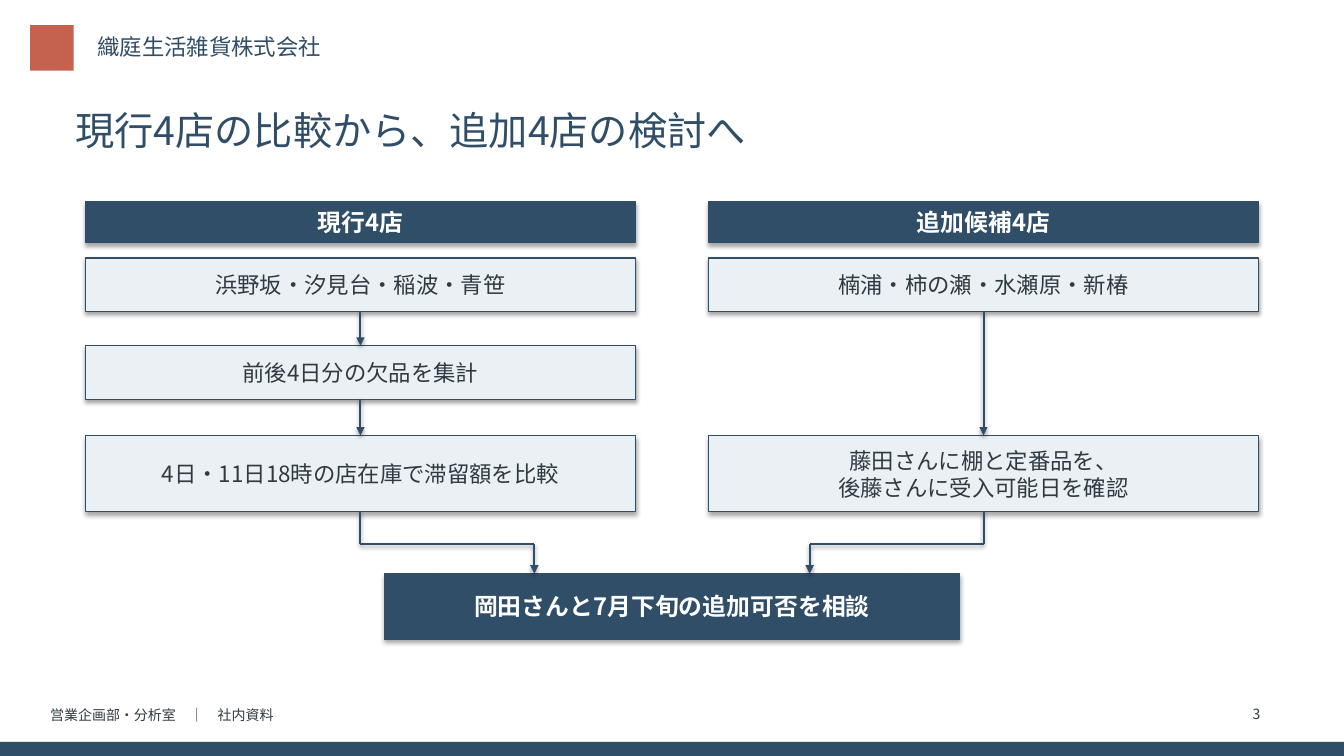
from lxml.etree import SubElement
from pptx import Presentation
from pptx.dml.color import RGBColor
from pptx.enum.shapes import MSO_CONNECTOR, MSO_SHAPE
from pptx.enum.text import MSO_ANCHOR, PP_ALIGN
from pptx.oxml.ns import qn
from pptx.util import Inches, Pt

FONT = "Noto Sans CJK JP"
HEX = {"navy": "304E67", "red": "C5614F", "pale": "EAF0F3",
       "ink": "303A42", "white": "FFFFFF"}
RGB = {name: RGBColor.from_string(code) for name, code in HEX.items()}
WIDE, HIGH = 13.33, 7.5

deck = Presentation()
deck.slide_width, deck.slide_height = Inches(WIDE), Inches(HIGH)
slide = deck.slides.add_slide(deck.slide_layouts[5])
shapes = slide.shapes


def write(frame, text, size, color, align=PP_ALIGN.LEFT, bold=False):
    frame.word_wrap = True
    frame.text = text
    para = frame.paragraphs[0]
    para.alignment = align
    font = para.font
    font.name, font.size, font.bold = FONT, Pt(size), bold
    font.color.rgb = RGB[color]
    # East Asian typeface
    SubElement(para._p.pPr.find(qn("a:defRPr")), qn("a:ea"), typeface=FONT)


def block(left, top, width, height, fill):
    rect = shapes.add_shape(MSO_SHAPE.RECTANGLE, Inches(left), Inches(top),
                            Inches(width), Inches(height))
    rect.fill.solid()
    rect.fill.fore_color.rgb = RGB[fill]
    return rect


# Brand mark and bottom band
for *place, fill in [(0.3, 0.25, 0.43, 0.45, "red"),
                     (0, HIGH - 0.14, WIDE, 0.14, "navy")]:
    band = block(*place, fill)
    band.line.fill.background()
    band.shadow.inherit = False

# Title
title = shapes.title
title.left, title.top = Inches(0.65), Inches(1)
title.width, title.height = Inches(12), Inches(0.7)
title.text_frame.vertical_anchor = MSO_ANCHOR.TOP
write(title.text_frame, "現行4店の比較から、追加4店の検討へ", 28, "navy")

# Company name, footer and page number
for left, top, width, height, text, size, color, align in [
        (0.87, 0.28, 6, 0.4, "織庭生活雑貨株式会社", 16, "navy", PP_ALIGN.LEFT),
        (0.4, 6.96, 9, 0.25, "営業企画部・分析室　｜　社内資料", 10, "ink", PP_ALIGN.LEFT),
        (12, 6.95, 0.6, 0.34, "3", 10, "ink", PP_ALIGN.RIGHT)]:
    box = shapes.add_textbox(Inches(left), Inches(top), Inches(width), Inches(height))
    write(box.text_frame, text, size, color, align)

# Flow grid: two mirrored columns, rows as (top, height)
COL = 5.45
LEFT = [0.85, WIDE - 0.85 - COL]
MID = [left + COL / 2 for left in LEFT]
ROWS = [(2, 0.41), (2.56, 0.53), (3.43, 0.53), (4.32, 0.76), (5.69, 0.65)]
GOAL = 5.71

# Boxes: column, row, text
steps = [
    (0, 0, "現行4店"),
    (1, 0, "追加候補4店"),
    (0, 1, "浜野坂・汐見台・稲波・青笹"),
    (0, 2, "前後4日分の欠品を集計"),
    (0, 3, "4日・11日18時の店在庫で滞留額を比較"),
    (1, 1, "楠浦・柿の瀬・水瀬原・新椿"),
    (1, 3, "藤田さんに棚と定番品を、\v後藤さんに受入可能日を確認"),
    (None, 4, "岡田さんと7月下旬の追加可否を相談"),
]
for col, row, text in steps:
    dark = row in (0, 4)
    left, width = ((WIDE - GOAL) / 2, GOAL) if col is None else (LEFT[col], COL)
    step = block(left, ROWS[row][0], width, ROWS[row][1], "navy" if dark else "pale")
    step.line.color.rgb = RGB["navy"]
    step.line.width = Pt(0.75)
    frame = step.text_frame
    frame.vertical_anchor = MSO_ANCHOR.MIDDLE
    frame.margin_top = frame.margin_bottom = Inches(0.03)
    write(frame, text, 17 if dark else 16, "white" if dark else "ink",
          PP_ALIGN.CENTER, dark)

# Links: start, end, arrowhead
TOP = [top for top, height in ROWS]
END = [top + height for top, height in ROWS]
TURN = 5.4
links = [((MID[col], END[a]), (MID[col], TOP[b]), True)
         for col, a, b in [(0, 1, 2), (0, 2, 3), (1, 1, 3)]]
for mid, drop in zip(MID, (5.3, WIDE - 5.3)):
    links += [((mid, END[3]), (mid, TURN), False),
              ((mid, TURN), (drop, TURN), False),
              ((drop, TURN), (drop, TOP[4]), True)]
for start, end, head in links:
    link = shapes.add_connector(MSO_CONNECTOR.STRAIGHT,
                                *[Inches(n) for n in start + end])
    link.line.color.rgb = RGB["navy"]
    link.line.width = Pt(1.4)
    if head:
        SubElement(link.line._get_or_add_ln(), qn("a:tailEnd"), type="triangle")

deck.save("out.pptx")
